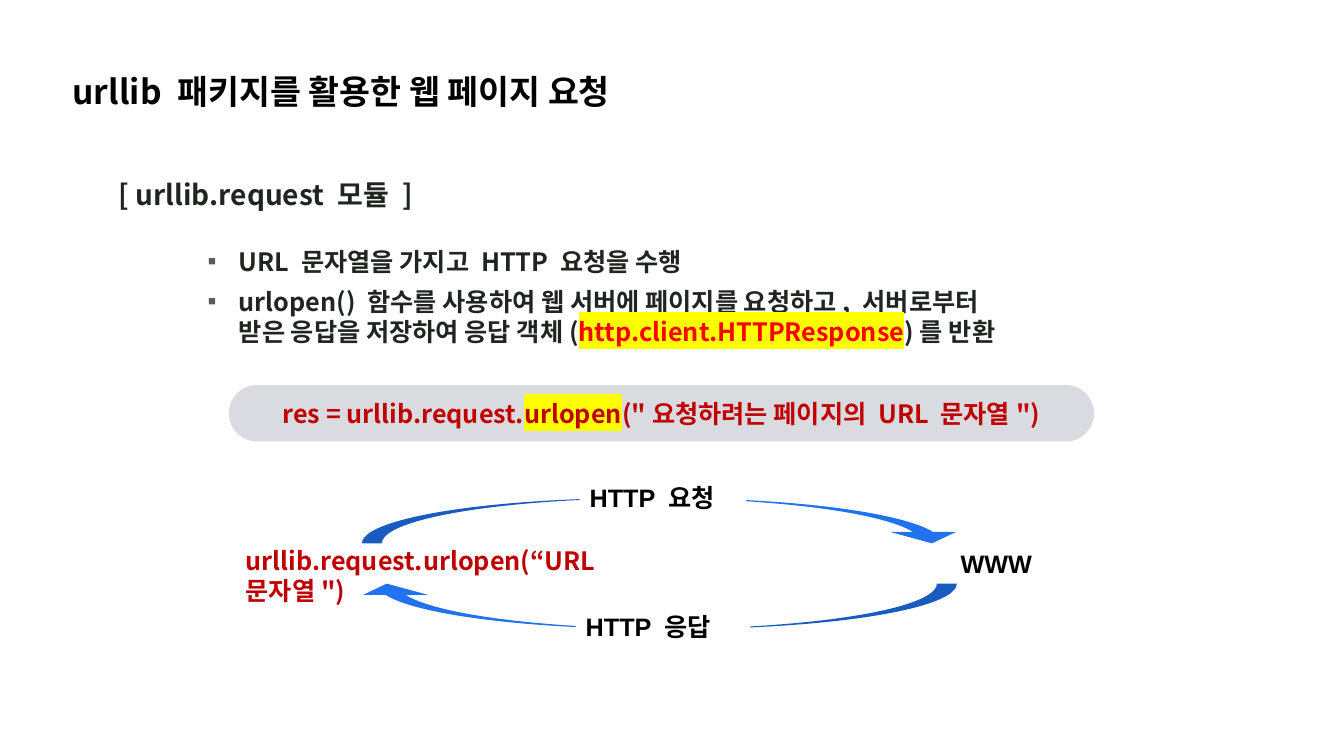
"""Build the slide on requesting web pages with the urllib package."""
from lxml import etree
from pptx import Presentation, util as u
from pptx.dml.color import RGBColor
from pptx.enum import shapes, text
from pptx.oxml import ns

BLACK = RGBColor(0x00, 0x00, 0x00)
WHITE = RGBColor(0xFF, 0xFF, 0xFF)
INK = RGBColor(0x20, 0x25, 0x22)
BULLET_GRAY = RGBColor(0x59, 0x59, 0x59)
BAR_GRAY = RGBColor(0xDA, 0xDB, 0xE0)
CODE_RED = RGBColor(0xC0, 0x00, 0x00)
RED = RGBColor(0xFF, 0x00, 0x00)
YELLOW = RGBColor(0xFF, 0xFF, 0x00)
BLUE = RGBColor(0x20, 0x72, 0xEF)
KOREAN = "Noto Sans CJK KR"

prs = Presentation()
prs.slide_width, prs.slide_height = u.Inches(13.33), u.Inches(7.5)
slide = prs.slides.add_slide(prs.slide_layouts[1])


def area(left, top, width, height):
    """Turn percentages of the slide into a left, top, width, height tuple."""
    across, down = prs.slide_width / 100, prs.slide_height / 100
    return int(left * across), int(top * down), int(width * across), int(height * down)


def write(holder, *paragraphs, size=18, font=KOREAN, color=INK, marked=RED, bullet=None,
          align=text.PP_ALIGN.LEFT, anchor=text.MSO_ANCHOR.TOP, wrap=True):
    """Write paragraphs, highlighting every second part of those given as tuples."""
    frame = holder.text_frame
    frame.auto_size = text.MSO_AUTO_SIZE.NONE
    frame.word_wrap = wrap
    frame.vertical_anchor = anchor
    for index, parts in enumerate(paragraphs):
        paragraph = frame.add_paragraph() if index else frame.paragraphs[0]
        if bullet:
            props = paragraph._p.get_or_add_pPr()
            props.set("marL", str(u.Inches(0.31)))
            props.set("indent", str(-u.Inches(0.31)))
            tint = etree.SubElement(props, ns.qn("a:buClr"))
            etree.SubElement(tint, ns.qn("a:srgbClr"), val=str(BULLET_GRAY))
            etree.SubElement(props, ns.qn("a:buChar"), char=bullet)
        paragraph.alignment = align
        paragraph.space_before = u.Pt(7 if index else 0)
        for order, part in enumerate([parts] if isinstance(parts, str) else parts):
            run = paragraph.add_run()
            run.text = part
            run.font.size, run.font.bold = u.Pt(size), True
            run.font.color.rgb = marked if order % 2 else color
            props = run._r.get_or_add_rPr()
            if order % 2:
                highlight = etree.SubElement(props, ns.qn("a:highlight"))
                etree.SubElement(highlight, ns.qn("a:srgbClr"), val=str(YELLOW))
            run.font.name = font
            etree.SubElement(props, ns.qn("a:ea"), typeface=KOREAN)


title, points = slide.placeholders
title.left, title.top, title.width, title.height = area(4.65, 8.67, 45, 6.67)
write(title, "urllib 패키지를 활용한 웹 페이지 요청", size=24, color=BLACK, wrap=False)

points.left, points.top, points.width, points.height = area(14.7, 31.87, 62.34, 14.8)
write(points,
      "URL 문자열을 가지고 HTTP 요청을 수행",
      ("urlopen() 함수를 사용하여 웹 서버에 페이지를 요청하고, 서버로부터 받은 응답을 저장하여 응답 객체(",
       "http.client.HTTPResponse", ")를 반환"),
      bullet="▪")

module = slide.shapes.add_textbox(*area(8.1, 22.8, 66.17, 5.87))
write(module, "[ urllib.request 모듈 ]", size=20)

call = slide.shapes.add_shape(shapes.MSO_SHAPE.ROUNDED_RECTANGLE, *area(17.03, 50.93, 64.37, 7.47))
call.adjustments[0] = 0.5
call.shadow.inherit = False
call.fill.solid()
call.fill.fore_color.rgb = BAR_GRAY
call.line.fill.background()
write(call, ("res = urllib.request.", "urlopen", "(\"요청하려는 페이지의 URL 문자열\")"),
      color=CODE_RED, marked=CODE_RED, align=text.PP_ALIGN.CENTER, anchor=text.MSO_ANCHOR.MIDDLE)

server = slide.shapes.add_textbox(*area(70.74, 71.87, 11.03, 6.27))
write(server, "WWW", font="Arial", color=BLACK)

exchange = [
    ("HTTP 요청", 0, area(26.93, 65.87, 44.86, 6), area(43.14, 63.2, 12.38, 5.33)),
    ("HTTP 응답", 180, area(26.33, 77.2, 44.86, 6), area(42.84, 80.27, 12.98, 5.33)),
]
for message, turn, sweep, label_area in exchange:
    arrow = slide.shapes.add_shape(shapes.MSO_SHAPE.CURVED_DOWN_ARROW, *sweep)
    for index, share in enumerate((0.44, 1.45, 0.25)):
        arrow.adjustments[index] = share
    arrow.rotation = turn
    arrow.shadow.inherit = False
    arrow.fill.solid()
    arrow.fill.fore_color.rgb = BLUE
    arrow.line.fill.background()
    label = slide.shapes.add_textbox(*label_area)
    label.fill.solid()
    label.fill.fore_color.rgb = WHITE
    write(label, message, font="Arial", color=BLACK)

client = slide.shapes.add_textbox(*area(17.55, 71.47, 31.66, 5.33))
write(client, "urllib.request.urlopen(“URL 문자열\")", color=CODE_RED)

prs.save("out.pptx")
